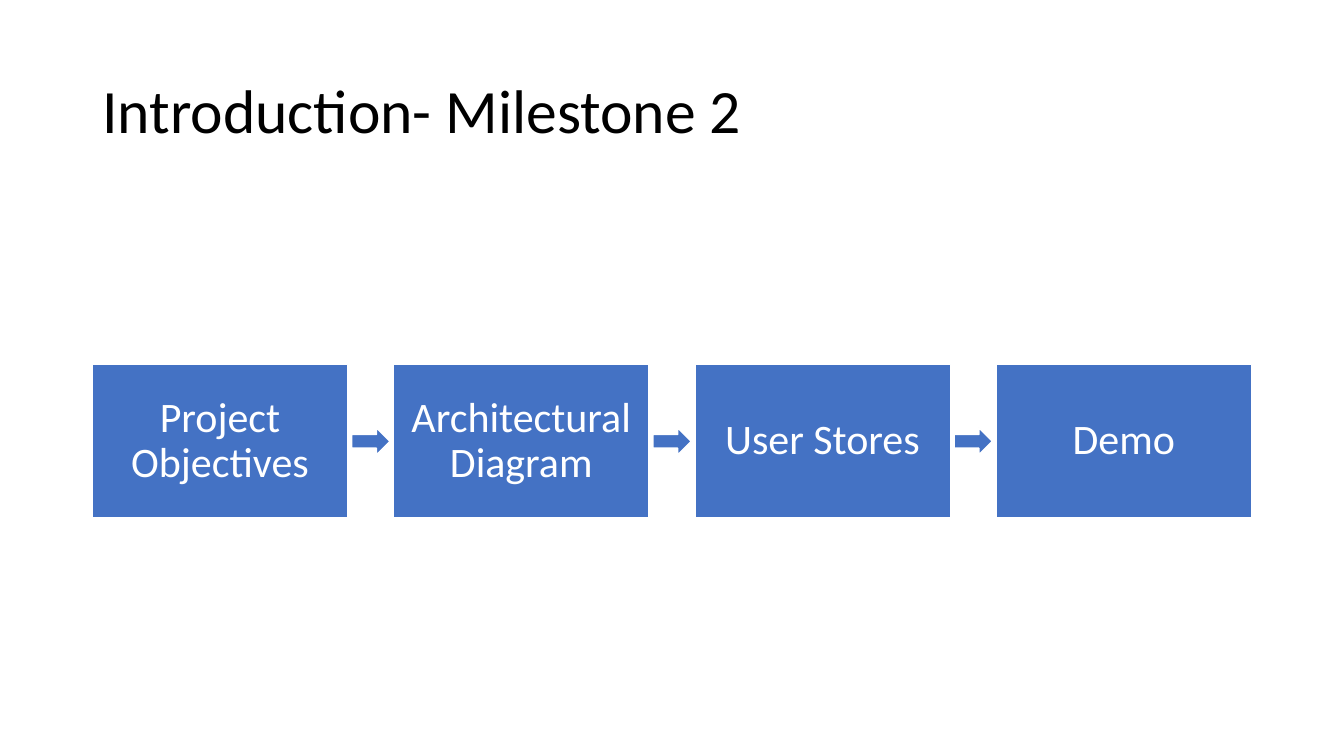
from dataclasses import dataclass

from pptx import Presentation
from pptx.dml.color import RGBColor as RGB
from pptx.enum.shapes import MSO_SHAPE as SHAPE
from pptx.enum.text import MSO_ANCHOR as ANCHOR, PP_ALIGN as ALIGN
from pptx.util import Pt


@dataclass(frozen=True)
class Theme:
    """Colours, font and type sizes of the slide."""
    font: str = "Calibri"
    ink: RGB = RGB(0x00, 0x00, 0x00)
    paper: RGB = RGB(0xFF, 0xFF, 0xFF)
    accent: RGB = RGB(0x44, 0x72, 0xC4)
    title_size: int = 44
    step_size: int = 30


THEME = Theme()


def write(s, text, size, color, align, inset_x, inset_y):
    """Put one vertically centred paragraph into a shape."""
    tf = s.text_frame
    tf.word_wrap = True
    tf.vertical_anchor = ANCHOR.MIDDLE
    tf.margin_left = tf.margin_right = Pt(inset_x)
    tf.margin_top = tf.margin_bottom = Pt(inset_y)
    p = tf.paragraphs[0]
    p.alignment = align
    p.line_spacing = 0.9
    r = p.add_run()
    r.text = text
    r.font.name = THEME.font
    r.font.size = Pt(size)
    r.font.color.rgb = color


def add_block(slide, kind, x, y, w, h):
    """Add an accent-filled shape with a thin white outline."""
    s = slide.shapes.add_shape(kind, Pt(x), Pt(y), Pt(w), Pt(h))
    s.shadow.inherit = False
    s.fill.solid()
    s.fill.fore_color.rgb = THEME.accent
    s.line.color.rgb = THEME.paper
    s.line.width = Pt(1)
    return s


def add_title(slide, text, x, y, w, h):
    """Write the slide title in the given box."""
    s = slide.shapes.add_textbox(Pt(x), Pt(y), Pt(w), Pt(h))
    write(s, text, THEME.title_size, THEME.ink, ALIGN.LEFT, 7.2, 3.6)


def add_process(slide, steps, x, y, w, h, step_w=182.5):
    """Spread equal steps over the box, with an arrow centred in each gap."""
    gap = (w - len(steps) * step_w) / (len(steps) - 1)
    arrow_w, arrow_h = 27.4, 19.4
    for i, text in enumerate(steps):
        left = x + i * (step_w + gap)
        s = add_block(slide, SHAPE.RECTANGLE, left, y, step_w, h)
        write(s, text, THEME.step_size, THEME.paper, ALIGN.CENTER, 12, 12)
        if i:
            add_block(slide, SHAPE.RIGHT_ARROW, left - (gap + arrow_w) / 2,
                      y + (h - arrow_h) / 2, arrow_w, arrow_h)


def build_process_slide(prs, title, steps):
    """Add a slide with a title above a row of process steps."""
    slide = prs.slides.add_slide(prs.slide_layouts[6])
    slide.background.fill.solid()
    slide.background.fill.fore_color.rgb = THEME.paper
    left, width = 66, 828
    add_title(slide, title, left, 28.75, width, 104.4)
    add_process(slide, steps, left, 260.5, width, 109.5)


prs = Presentation()
prs.slide_width, prs.slide_height = Pt(960), Pt(540)
build_process_slide(prs, "Introduction- Milestone 2", [
    "Project Objectives", "Architectural Diagram", "User Stores", "Demo"])
prs.save("out.pptx")
